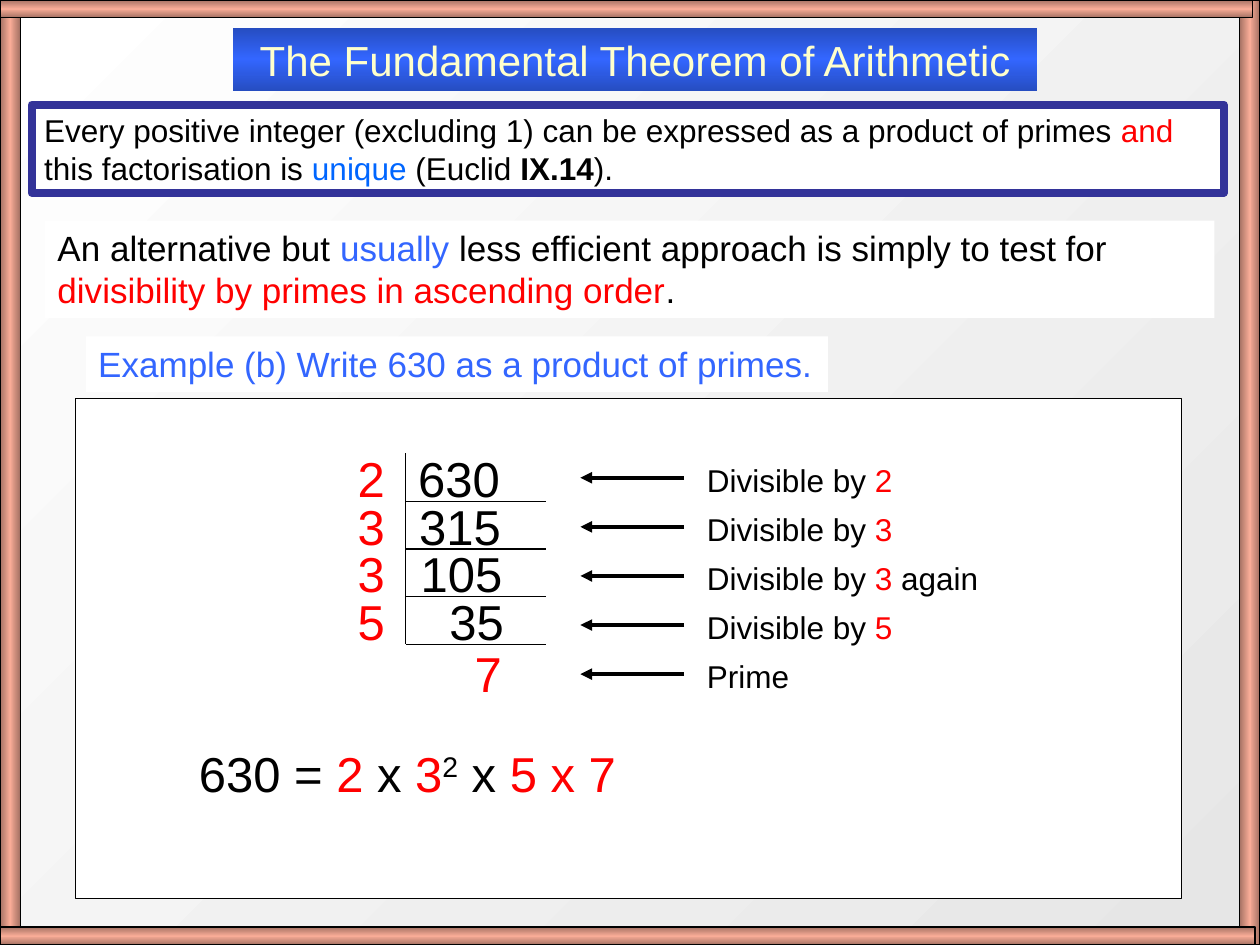
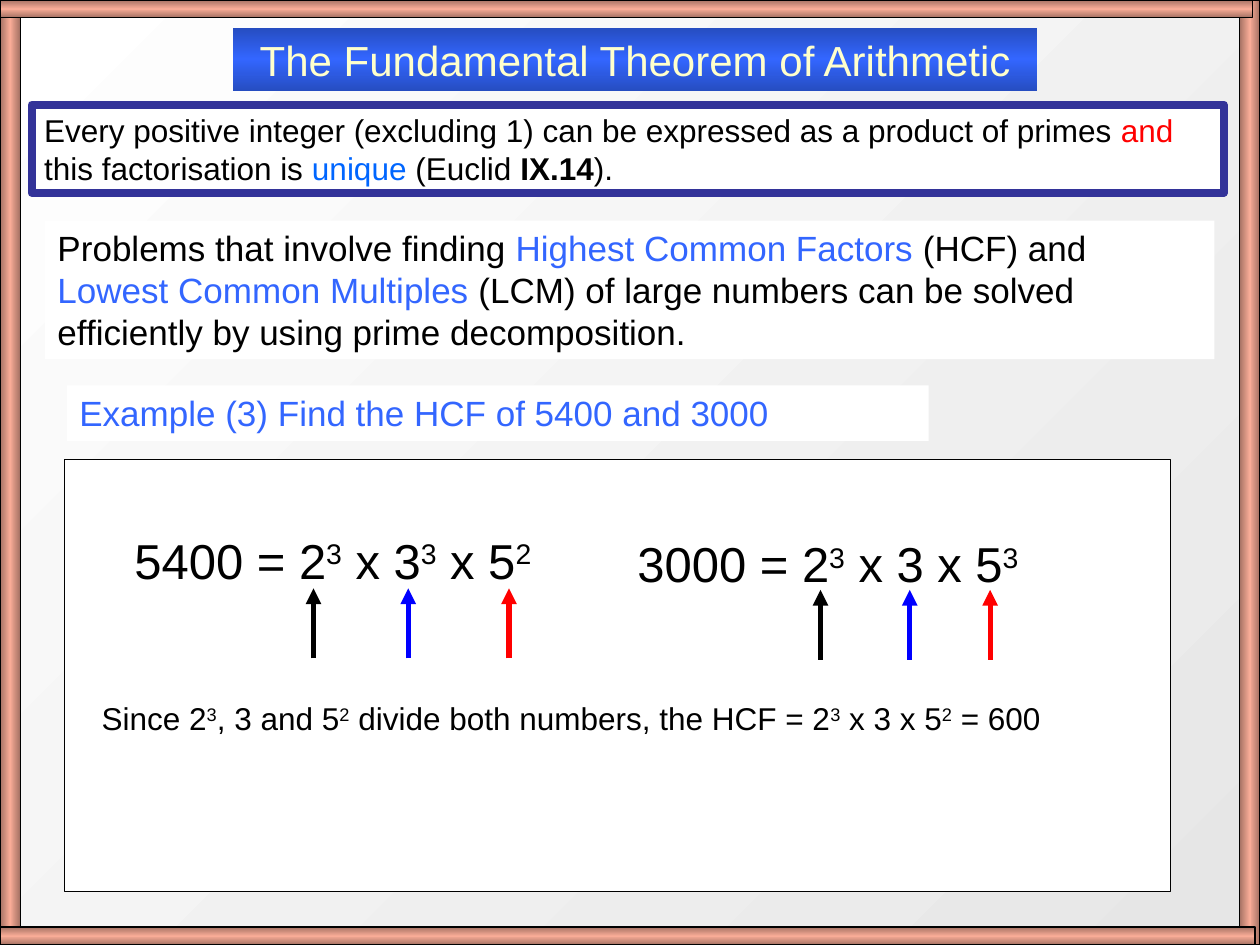
from copy import deepcopy
from dataclasses import dataclass

from lxml import etree
from pptx import Presentation
from pptx.dml.color import RGBColor
from pptx.enum.shapes import MSO_CONNECTOR, MSO_SHAPE
from pptx.enum.text import MSO_ANCHOR, MSO_AUTO_SIZE, PP_ALIGN
from pptx.oxml.ns import qn
from pptx.util import Cm, Pt

RECT = MSO_SHAPE.RECTANGLE
LINE = MSO_CONNECTOR.STRAIGHT
TOP = MSO_ANCHOR.TOP
FIXED = MSO_AUTO_SIZE.NONE
LEFT, CENTER = PP_ALIGN.LEFT, PP_ALIGN.CENTER


@dataclass(frozen=True)
class Theme:
    font: str = "Arial"
    black: str = "000000"
    white: str = "FFFFFF"
    red: str = "FF0000"
    blue: str = "3366FF"
    link: str = "0066FF"
    pure: str = "0000FF"
    cream: str = "FFFFCC"
    navy: str = "333399"
    band: tuple = ("264DC1", "3366FF", "264DC1")
    wood: tuple = ("A47163", "F9AC97", "A47163")
    back: tuple = ("E6E6E6", "FFFFFF")
    head: int = 24
    big: int = 28
    mid: int = 20
    small: int = 18
    thin: float = 0.75


T = Theme()


@dataclass(frozen=True)
class Bit:
    """A run that differs from the rest of its paragraph."""
    text: str
    color: str = ""
    bold: bool = False
    power: bool = False


@dataclass(frozen=True)
class Box:
    """A place in centimetres."""
    left: float
    top: float
    width: float
    height: float

    def place(self) -> tuple:
        return Cm(self.left), Cm(self.top), Cm(self.width), Cm(self.height)


@dataclass(frozen=True)
class Step:
    """One division: divisor, quotient, quotient's left edge."""
    prime: str
    value: str
    left: float


def red(text: str) -> Bit:
    return Bit(text, T.red)


def blue(text: str) -> Bit:
    return Bit(text, T.blue)


def power(text: str) -> Bit:
    return Bit(text, power=True)


# Basic parts

def blend(fill, colors: tuple, angle: int) -> None:
    """Set an evenly spaced gradient; the angle runs counter-clockwise."""
    fill.gradient()
    fill.gradient_angle = angle
    first = fill.gradient_stops[0]._gs
    for _ in colors[2:]:
        first.addnext(deepcopy(first))
    for i, (stop, color) in enumerate(zip(fill.gradient_stops, colors)):
        stop.position = i / (len(colors) - 1)
        stop.color.rgb = RGBColor.from_string(color)


def write(shape, bits: tuple, size: int, color: str = T.black, align=LEFT) -> None:
    frame = shape.text_frame
    frame.word_wrap = True
    frame.auto_size = FIXED
    frame.vertical_anchor = TOP
    para = frame.paragraphs[0]
    para.alignment = align
    para.space_before = Pt(0)
    para.font.name = T.font
    para.font.size = Pt(size)
    para.font.color.rgb = RGBColor.from_string(color)
    for bit in bits:
        bit = Bit(bit) if isinstance(bit, str) else bit
        run = para.add_run()
        run.text = bit.text
        run.font.color.rgb = RGBColor.from_string(bit.color or color)
        if bit.bold:
            run.font.bold = True
        if bit.power:
            run._r.get_or_add_rPr().set("baseline", "30000")


def panel(slide, box: Box, edge: str = "", weight: float = T.thin):
    shape = slide.shapes.add_shape(RECT, *box.place())
    shape.shadow.inherit = False
    shape.fill.solid()
    shape.fill.fore_color.rgb = RGBColor.from_string(T.white)
    if edge:
        shape.line.color.rgb = RGBColor.from_string(edge)
        shape.line.width = Pt(weight)
    else:
        shape.line.fill.background()
    return shape


def label(slide, box: Box, bits: tuple, size: int, color: str = T.black) -> None:
    write(slide.shapes.add_textbox(*box.place()), bits, size, color)


def rule(slide, start: tuple, end: tuple, weight: float = T.thin,
         color: str = T.black, arrow: bool = False) -> None:
    line = slide.shapes.add_connector(LINE, *map(Cm, start + end))
    line.line.color.rgb = RGBColor.from_string(color)
    line.line.width = Pt(weight)
    if arrow:
        etree.SubElement(line.line._get_or_add_ln(), qn("a:tailEnd"), type="triangle")
    etree.SubElement(line._element.spPr, qn("a:effectLst"))


# Parts that both slides share

BARS = (
    (Box(0, 0, 0.41, 19.05), 0),
    (Box(24.99, 0, 0.41, 19.05), 0),
    (Box(0, 0, 25.25, 0.36), 90),
    (Box(0, 18.69, 25.3, 0.36), 90),
)
THEOREM = (
    "Every positive integer (excluding 1) can be expressed as a product of primes ",
    red("and"), " this factorisation is ", Bit("unique ", T.link), "(Euclid ",
    Bit("IX.14", bold=True), ").",
)


def start(deck, lead: tuple, depth: float, task: str, spot: Box, work: Box):
    slide = deck.slides.add_slide(deck.slide_layouts[5])
    panel(slide, work, T.black)

    # Title band
    title = slide.shapes.title
    title.left, title.top, title.width, title.height = Box(4.7, 0.56, 16.21, 1.27).place()
    blend(title.fill, T.band, 90)
    write(title, ("The Fundamental Theorem of Arithmetic",), T.head, T.cream, CENTER)

    # Theorem and wooden frame
    write(panel(slide, Box(0.64, 2.11, 24.03, 1.78), T.navy, 4.5), THEOREM, T.small)
    for box, angle in BARS:
        blend(panel(slide, box, T.black).fill, T.wood, angle)

    # Lead text and task
    write(panel(slide, Box(0.91, 4.45, 23.57, depth)), lead, T.mid)
    write(panel(slide, spot), (task,), T.mid, T.blue)
    return slide


# Slide 1: repeated division

STEPS = (
    Step("2", "630", 8.18),
    Step("3", "315", 8.2),
    Step("3", "105", 8.23),
    Step("5", "35", 8.81),
)
NOTES = (
    ("Divisible by ", red("2")),
    ("Divisible by ", red("3")),
    ("Divisible by ", red("3 "), "again"),
    ("Divisible by ", red("5")),
    ("Prime",),
)


def divide(deck) -> None:
    lead = ("An alternative but ", blue("usually"),
            " less efficient approach is simply to test for ",
            red("divisibility by primes in ascending order"), ".")
    slide = start(deck, lead, 1.96, "Example (b) Write 630 as a product of primes.",
                  Box(1.73, 6.78, 14.96, 1.12), Box(1.52, 8.03, 22.3, 10.08))

    # Division ladder
    edge, pitch = 8.18, 0.96
    for i, step in enumerate(STEPS):
        top = 8.92 + i * pitch
        floor = 10.11 + i * pitch
        label(slide, Box(step.left, top, 2.57, 1.45), (step.value,), T.big)
        label(slide, Box(6.96, top, 1.52, 1.45), (step.prime,), T.big, T.red)
        rule(slide, (edge, floor - 0.97), (edge, floor))
        rule(slide, (edge, floor), (11, floor))
    label(slide, Box(9.32, 12.85, 1.9, 1.45), ("7",), T.big, T.red)

    # Arrows with notes
    for i, note in enumerate(NOTES):
        y = 9.63 + i * 0.99
        rule(slide, (13.79, y), (11.7, y), 2.25, arrow=True)
        label(slide, Box(14, y - 0.46, 6.88, 1.02), note, T.small)

    # Result
    label(slide, Box(3.76, 14.86, 9.96, 1.45),
          ("630 = ", red("2"), " x ", red("3"), power("2"), " x ", red("5 x 7")), T.big)


# Slide 2: highest common factor

def factor(deck) -> None:
    lead = ("Problems that involve finding ", blue("Highest Common Factors"),
            " (HCF) and ", blue("Lowest Common Multiples"),
            " (LCM) of large numbers can be solved efficiently by using prime decomposition.")
    slide = start(deck, lead, 2.79, "Example (3) Find the HCF of 5400 and 3000",
                  Box(1.35, 7.77, 17.37, 1.12), Box(1.3, 9.27, 22.3, 8.71))

    # Two products
    cube, square = power("3"), power("2")
    label(slide, Box(2.46, 10.57, 10.08, 1.45),
          ("5400 = 2", cube, " x 3", cube, " x 5", square), T.big)
    label(slide, Box(12.6, 10.64, 9.25, 1.45),
          ("3000 = 2", cube, " x 3 x 5", cube), T.big)

    # Arrows under matching primes
    for tip, spots in ((11.86, (6.32, 8.23, 10.26)), (11.89, (16.54, 18.34, 19.96))):
        for x, color in zip(spots, (T.black, T.pure, T.red)):
            rule(slide, (x, tip + 1.41), (x, tip), 3, color, arrow=True)

    # Result
    label(slide, Box(1.8, 13.97, 19.89, 1.02),
          ("Since 2", cube, ", 3 and 5", square, " divide both numbers, the HCF = 2",
           cube, " x 3 x 5", square, " = 600"), T.small)


def main() -> None:
    deck = Presentation()
    deck.slide_width, deck.slide_height = Cm(25.4), Cm(19.05)
    blend(deck.slide_master.background.fill, T.back, 135)
    divide(deck)
    factor(deck)
    deck.save("out.pptx")


if __name__ == "__main__":
    main()
